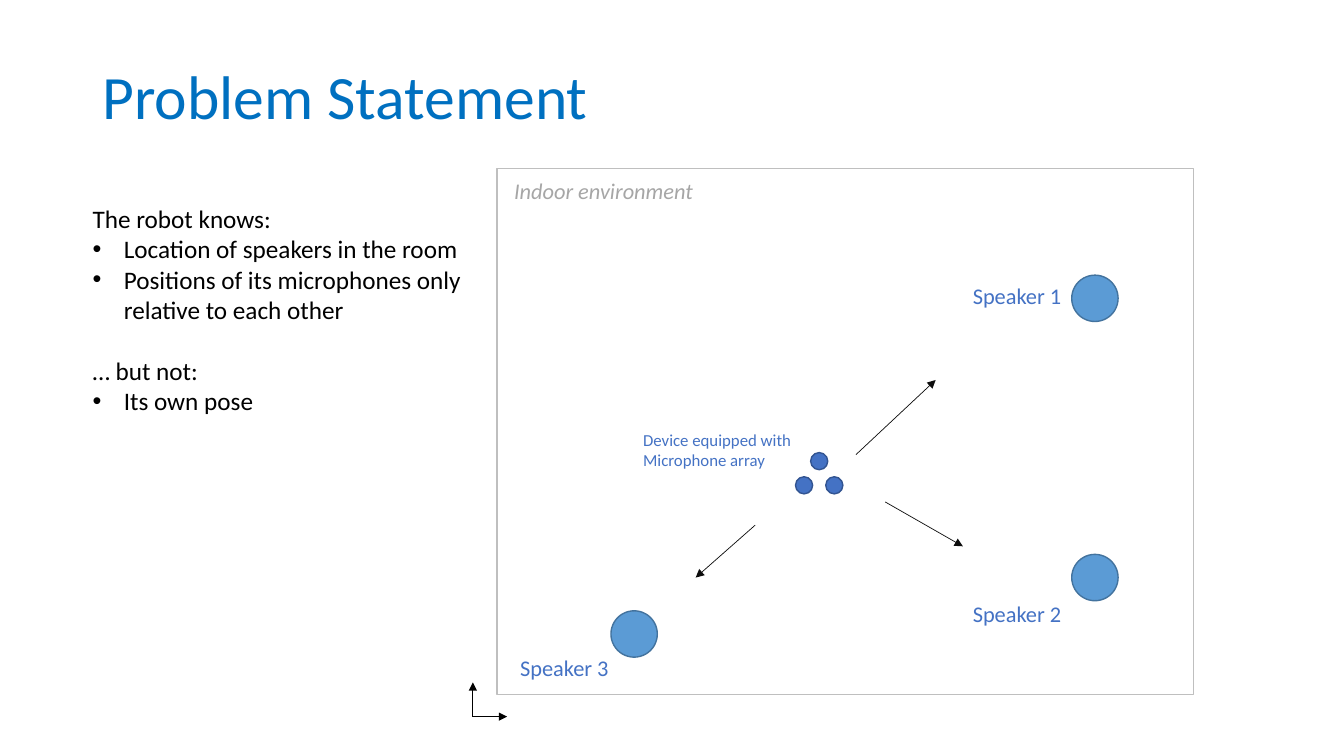
from lxml import etree
from pptx import Presentation
from pptx.dml.color import RGBColor as RGB
from pptx.enum.shapes import MSO_CONNECTOR as Connector, MSO_SHAPE as Shape
from pptx.enum.text import MSO_ANCHOR as Anchor, MSO_AUTO_SIZE as AutoSize
from pptx.oxml.ns import qn
from pptx.util import Inches, Pt

COLOURS = {
    "title": "0070C0", "body": "000000", "label": "4472C4", "room_label": "A6A6A6",
    "room_line": "BFBFBF", "speaker": "5B9BD5", "speaker_line": "43739E",
    "mic": "4472C4", "mic_line": "325491", "direction": "0D0D0D", "axis": "000000",
}


class Sketch:
    font = "Calibri"
    indent = 0.31

    def __init__(self, slide):
        self.slide = slide

    def colour(self, key):
        return RGB.from_string(COLOURS[key])

    def text(self, box, paragraphs, size, colour, anchor=Anchor.TOP, **extra):
        frame = self.slide.shapes.add_textbox(*map(Inches, box)).text_frame
        layout = {"word_wrap": True, "vertical_anchor": anchor,
                  "auto_size": AutoSize.NONE if anchor == Anchor.MIDDLE
                  else AutoSize.SHAPE_TO_FIT_TEXT}
        for name, value in layout.items():
            setattr(frame, name, value)
        for index, (words, bulleted, gap) in enumerate(paragraphs):
            paragraph = frame.add_paragraph() if index else frame.paragraphs[0]
            if gap:
                paragraph.space_before = Pt(gap)
            if bulleted:
                self.bullet(paragraph)
            run = paragraph.add_run()
            run.text = words
            style = {"name": self.font, "size": Pt(size), **extra}
            for name, value in style.items():
                setattr(run.font, name, value)
            run.font.color.rgb = self.colour(colour)

    def bullet(self, paragraph):
        properties = paragraph._p.get_or_add_pPr()
        properties.set("marL", str(Inches(self.indent)))
        properties.set("indent", str(-Inches(self.indent)))
        etree.SubElement(properties, qn("a:buFont")).set("typeface", "Arial")
        etree.SubElement(properties, qn("a:buChar")).set("char", "•")

    def shape(self, kind, box, line, fill=None, parent=None):
        shapes = (parent or self.slide).shapes
        outline = shapes.add_shape(kind, *map(Inches, box))
        outline.shadow.inherit = False
        outline.line.color.rgb = self.colour(line)
        outline.line.width = Pt(1)
        if fill:
            outline.fill.solid()
            outline.fill.fore_color.rgb = self.colour(fill)
        else:
            outline.fill.background()

    def arrow(self, start, end, colour):
        arrow = self.slide.shapes.add_connector(
            Connector.STRAIGHT, *map(Inches, (*start, *end)))
        arrow.line.color.rgb = self.colour(colour)
        arrow.line.width = Pt(0.5)
        properties = arrow._element.spPr
        etree.SubElement(properties.find(qn("a:ln")), qn("a:tailEnd")).set("type", "triangle")
        etree.SubElement(properties, qn("a:effectLst"))


def main():
    deck = Presentation()
    deck.slide_width, deck.slide_height = Inches(13.33), Inches(7.5)
    sketch = Sketch(deck.slides.add_slide(deck.slide_layouts[6]))

    sketch.text((0.92, 0.22, 11.5, 1.45), [("Problem Statement", False, 0)],
                44, "title", Anchor.MIDDLE)
    sketch.shape(Shape.RECTANGLE, (4.93, 1.67, 6.91, 5.22), "room_line")
    sketch.text((5, 1.71, 2.25, 0.37), [("Indoor environment", False, 0)],
                16, "room_label", italic=True)

    speakers = [
        ((10.63, 2.73), (9.55, 2.75)),
        ((10.63, 5.5), (9.55, 5.9)),
        ((6.06, 6.06), (5.06, 6.44)),
    ]
    for number, (place, label) in enumerate(speakers, 1):
        sketch.shape(Shape.OVAL, (*place, 0.46, 0.46), "speaker_line", "speaker")
        sketch.text((*label, 1.67, 0.37), [(f"Speaker {number}", False, 0)], 16, "label")

    mic_array = sketch.slide.shapes.add_group_shape()
    for place in [(7.89, 4.73), (8.19, 4.73), (8.04, 4.49)]:
        sketch.shape(Shape.OVAL, (*place, 0.17, 0.17), "mic_line", "mic", mic_array)
    sketch.text((6.28, 4.21, 1.71, 0.5),
                [("Device equipped with Microphone array", False, 0)], 12, "label")

    directions = [
        ((8.49, 4.51), (9.28, 3.77)),
        ((8.78, 4.98), (9.55, 5.42)),
        ((7.49, 5.21), (6.9, 5.73)),
    ]
    for start, end in directions:
        sketch.arrow(start, end, "direction")

    origin = (4.69, 7.11)
    for tip in [(5.03, 7.11), (4.69, 6.77)]:
        sketch.arrow(origin, tip, "axis")

    sketch.text((0.82, 1.97, 3.87, 2.22), [
        ("The robot knows:", False, 0),
        ("Location of speakers in the room", True, 0),
        ("Positions of its microphones only relative to each other", True, 0),
        ("… but not:", False, 22),
        ("Its own pose", True, 0),
    ], 18, "body")

    deck.save("out.pptx")


if __name__ == "__main__":
    main()
